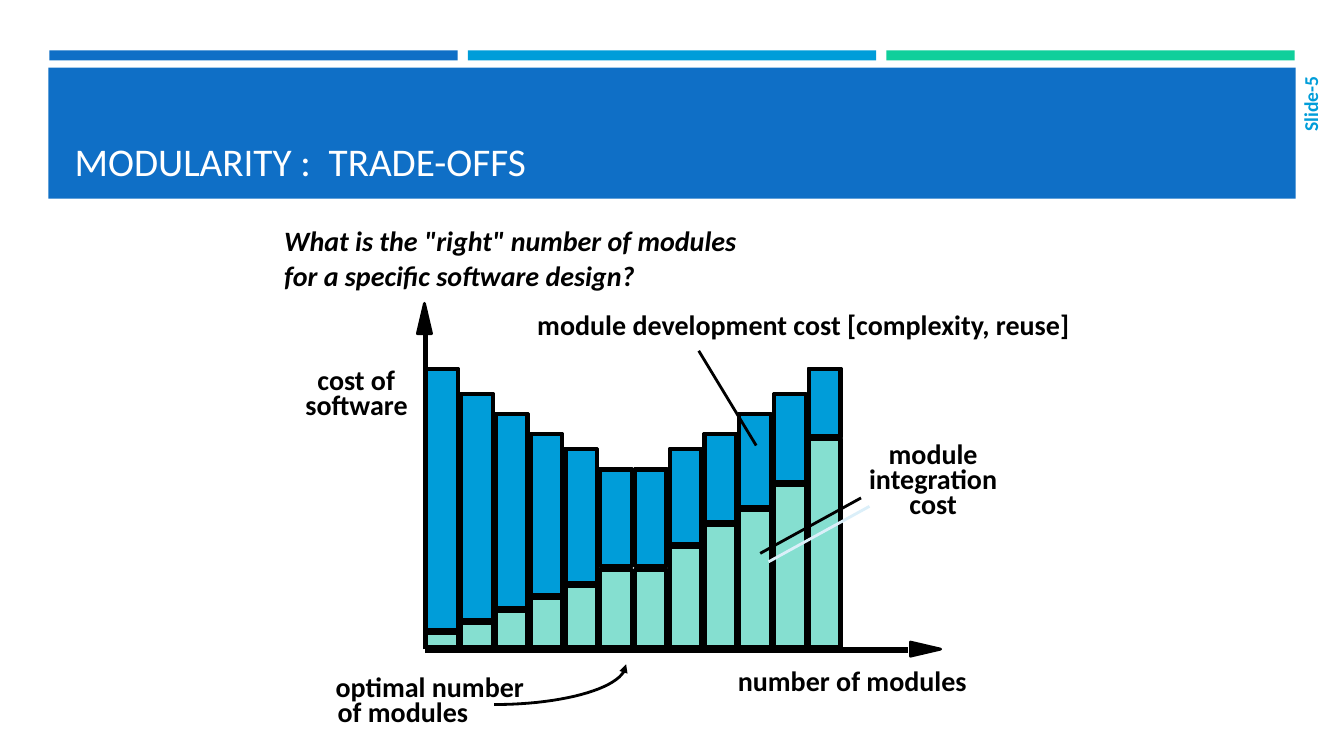
import math
from lxml import etree
from pptx import Presentation, util as u
from pptx.dml.color import RGBColor
from pptx.enum import shapes, text
from pptx.oxml.ns import qn

BLUE = RGBColor(0x0F, 0x6F, 0xC6)
SKY = RGBColor(0x00, 0x9D, 0xD9)
GREEN = RGBColor(0x10, 0xCF, 0x9B)
MINT = RGBColor(0x85, 0xDF, 0xD0)
BLACK = RGBColor(0, 0, 0)
WHITE = RGBColor(0xFF, 0xFF, 0xFF)
PALE = RGBColor(0xDB, 0xEF, 0xF9)

deck = Presentation()
deck.slide_width, deck.slide_height = u.Inches(13.33), u.Inches(7.5)
slide = deck.slides.add_slide(deck.slide_layouts[5])
items = slide.shapes

# Grid of 13.33 columns by 7.5 rows
COL = deck.slide_width / 13.33
ROW = deck.slide_height / 7.5


def rect(x, y, wide, high, fill=None, edge=None):
    box = items.add_shape(shapes.MSO_SHAPE.RECTANGLE, int(x * COL), int(y * ROW),
                          int(wide * COL), int(high * ROW))
    box.shadow.inherit = False
    if fill is None:
        box.fill.background()
    else:
        box.fill.solid()
        box.fill.fore_color.rgb = fill
    if edge is None:
        box.line.fill.background()
    else:
        box.line.color.rgb = edge
        box.line.width = u.Pt(2)


def stroke(x1, y1, x2, y2, size):
    line = items.add_connector(shapes.MSO_CONNECTOR.STRAIGHT, int(x1 * COL),
                               int(y1 * ROW), int(x2 * COL), int(y2 * ROW))
    line.line.color.rgb = BLACK
    line.line.width = u.Pt(size)
    return etree.SubElement(line._element.spPr, qn("a:effectLst"))


# Header bands
for i, tint in enumerate((BLUE, SKY, GREEN)):
    rect(0.49 + 4.15 * i, 0.5, 4.05, 0.1, tint)
rect(0.48, 0.67, 12.37, 1.3, BLUE)

# Title
title = items.title
title.left, title.top = int(0.64 * COL), int(0.77 * ROW)
title.width, title.height = int(12.06 * COL), int(1.11 * ROW)
frame = title.text_frame
frame.text = "MODULARITY :  TRADE-OFFS"
frame.auto_size = text.MSO_AUTO_SIZE.NONE
frame.vertical_anchor = text.MSO_ANCHOR.BOTTOM
para = frame.paragraphs[0]
para.alignment = text.PP_ALIGN.LEFT
font = para.runs[0].font
font.name, font.size, font.color.rgb = "Calibri", u.Pt(28), WHITE
items._spTree.append(title._element)

# Stacked bars: tops mirror around the middle, each bar has a frame and an inset
falls = [3.65, 3.9, 4.1, 4.3, 4.45, 4.65]
tops = falls + falls[::-1]
splits = [6.27, 6.17, 6.05, 5.92, 5.8, 5.65, 5.65, 5.42, 5.2, 5.05, 4.8, 4.35]
BASE, STEP, WIDE, INSET = 6.43, 0.345, 0.33, 0.015
for i, (top, split) in enumerate(zip(tops, splits)):
    x = 4.22 + STEP * i
    gap = 0.03 if split == 5.65 else 0.01
    for y, end, tint in ((split, BASE, MINT), (top, split - gap, SKY)):
        rect(x + INSET, y + INSET, WIDE - 2 * INSET, end - y - 2 * INSET, tint, BLACK)
        rect(x, y, WIDE, end - y, None, BLACK)

# Axes and leader lines
stroke(4.22, 6.45, 9.01, 6.45, 4)
stroke(4.22, 6.44, 4.22, 3.3, 4)
stroke(6.93, 3.48, 7.5, 4.42, 2)
glow = stroke(8.54, 4.94, 7.54, 5.49, 2)
cast = etree.SubElement(glow, qn("a:outerShdw"), dist=str(u.Pt(8.5)),
                        dir="2700000", algn="ctr", rotWithShape="0")
etree.SubElement(cast, qn("a:srgbClr"), val=str(PALE))

# Axis tips and the quarter curve to the optimum
curve = []
for i in range(25):
    turn = math.pi / 2 * i / 24
    curve.append((4.9 + 1.31 * math.cos(turn), 6.59 + 0.4 * math.sin(turn)))
outlines = [
    ([(9.33, 6.44), (9.03, 6.51), (9.03, 6.37)], True),
    ([(4.21, 3.01), (4.28, 3.31), (4.14, 3.31)], True),
    (curve, False),
]
for dots, solid in outlines:
    pen = items.build_freeform(int(dots[0][0] * COL), int(dots[0][1] * ROW))
    pen.add_line_segments([(int(x * COL), int(y * ROW)) for x, y in dots[1:]], close=solid)
    form = pen.convert_to_shape()
    form.shadow.inherit = False
    form.line.color.rgb = BLACK
    form.line.width = u.Pt(2)
    if solid:
        form.fill.solid()
        form.fill.fore_color.rgb = BLACK
    else:
        form.fill.background()
        etree.SubElement(form.line._ln, qn("a:headEnd"), type="triangle")

# Labels: left, top, width, height, wording
labels = [
    (2.72, 2.17, 5.04, 0.43, 'What is the "right" number of modules'),
    (2.72, 2.52, 3.84, 0.43, "for a specific software design?"),
    (3.23, 6.59, 2.32, 0.43, "optimal number"),
    (3.25, 6.84, 1.69, 0.43, "of modules"),
    (3.05, 3.55, 1.16, 0.43, "cost of"),
    (2.93, 3.8, 1.39, 0.43, "software"),
    (7.22, 6.53, 2.75, 0.43, "number of modules"),
    (8.43, 4.36, 1.65, 0.86, "module\nintegration\ncost"),
    (5.23, 3, 6.81, 0.43, "module development cost [complexity, reuse]"),
    (12.87, 0.66, 0.25, 0.91, "Slide-5"),
]
for x, y, wide, high, words in labels:
    box = items.add_textbox(int(x * COL), int(y * ROW), int(wide * COL), int(high * ROW))
    frame = box.text_frame
    frame.word_wrap = True
    frame.text = words
    side = words.startswith("Slide")
    if side:
        frame._txBody.bodyPr.set("vert", "vert270")
        frame.margin_left = frame.margin_right = 0
        frame.vertical_anchor = text.MSO_ANCHOR.MIDDLE
    for para in frame.paragraphs:
        if side:
            para.alignment = text.PP_ALIGN.RIGHT
        elif "\n" in words:
            para.alignment = text.PP_ALIGN.CENTER
            para.line_spacing = 0.75
        font = para.runs[0].font
        font.name, font.bold = "Calibri", True
        font.size = u.Pt(14 if side else 20)
        font.color.rgb = SKY if side else BLACK
        if y in (2.17, 2.52):
            font.italic = True

deck.save("out.pptx")
